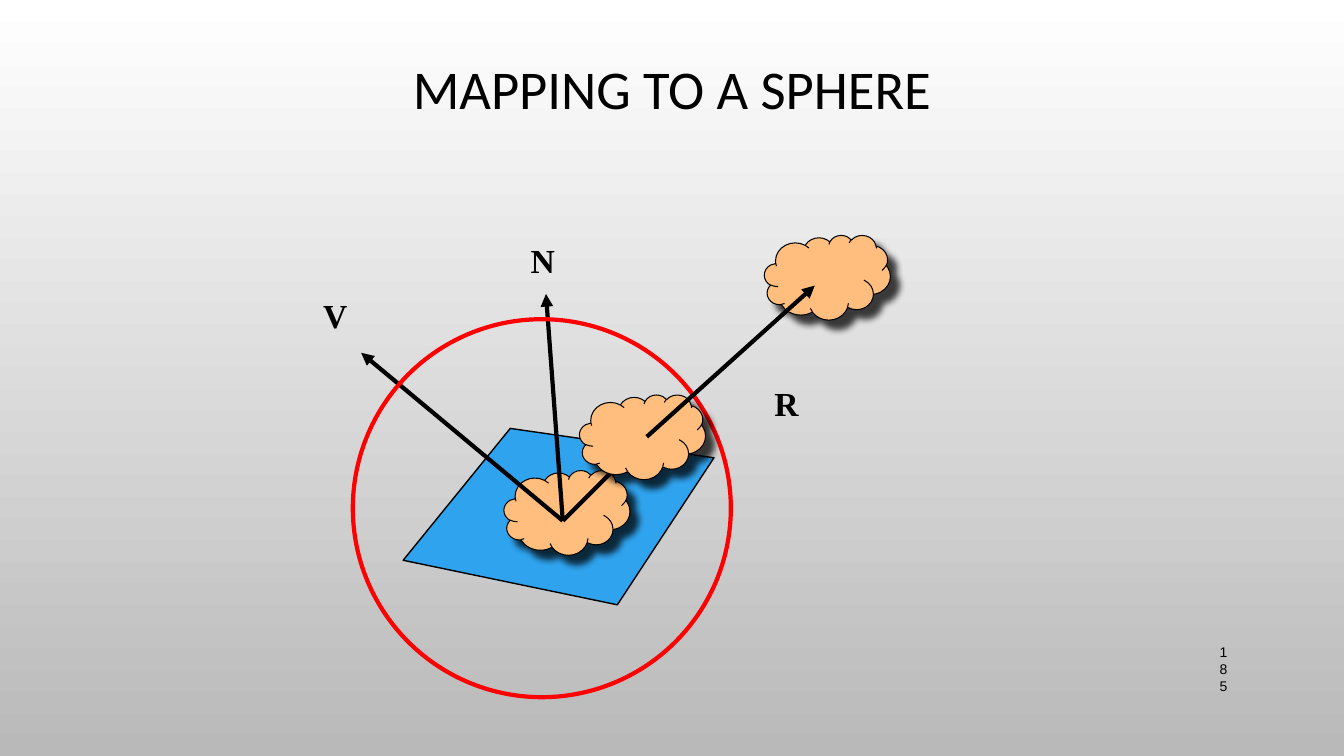
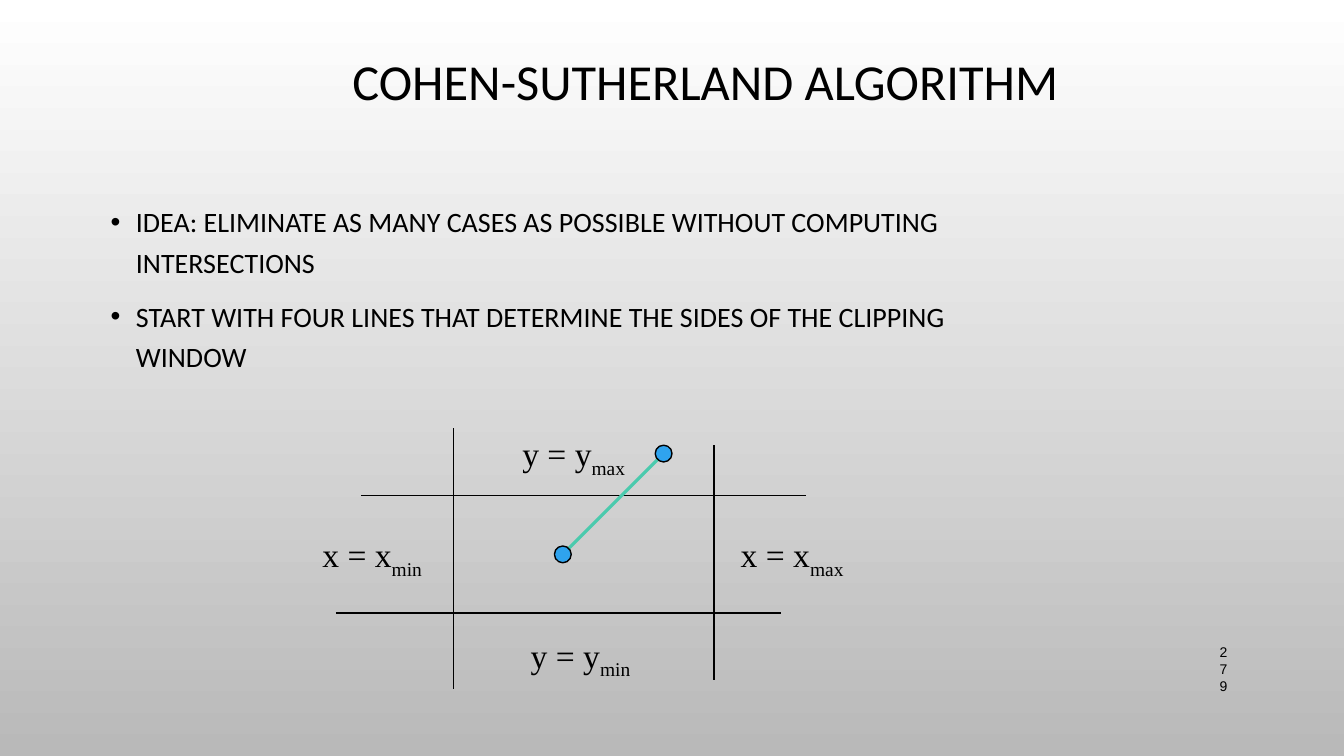
from dataclasses import dataclass
from typing import NamedTuple

from lxml.etree import SubElement
from pptx import Presentation
from pptx.dml.color import RGBColor as RGB
from pptx.enum.shapes import MSO_CONNECTOR as Wire, MSO_SHAPE as Kind
from pptx.enum.text import MSO_ANCHOR as Anchor, MSO_AUTO_SIZE as Fit, PP_ALIGN as Align
from pptx.oxml.ns import qn
from pptx.util import Inches, Pt

COLS, ROWS = 160, 90
WIDTH, HEIGHT = Inches(13.33), Inches(7.5)


@dataclass(frozen=True)
class Theme:
    ink: str = "000000"
    top: str = "FFFFFF"
    base: str = "B9B9B9"
    blue: str = "2FA3EE"
    peach: str = "FFBE7D"
    red: str = "FF0000"
    green: str = "4BCAAD"
    sans: str = "Calibri"
    serif: str = "Times New Roman"
    plain: str = "Arial"
    body: float = 20
    label: float = 24
    number: float = 10
    thin: float = 1
    mid: float = 2.25
    bold: float = 3


class Box(NamedTuple):
    """Left, top, width and height in grid cells."""
    x: float
    y: float
    w: float
    h: float


class Line(NamedTuple):
    """Two end points in grid cells."""
    x1: float
    y1: float
    x2: float
    y2: float


class Label(NamedTuple):
    text: str
    box: Box
    sub: str = ""


T = Theme()


def col(n: float) -> int:
    return round(WIDTH * n / COLS)


def row(n: float) -> int:
    return round(HEIGHT * n / ROWS)


def place(box: Box) -> tuple:
    return col(box.x), row(box.y), col(box.w), row(box.h)


def write(para, text: str, *, size: float, font: str, bold: bool = False,
          sub: str = "", align=None, space: float | None = None,
          before: float = 0, left: float = 0, hang: float = 0,
          bullet: str = "") -> None:
    """Fill a paragraph; sub is set as a lowered run after the text."""
    props = para._p.get_or_add_pPr()
    if left:
        props.set("marL", str(Inches(left)))
        props.set("indent", str(-Inches(hang)))
    if bullet:
        tint = SubElement(props, qn("a:buClr"))
        SubElement(tint, qn("a:srgbClr"), val=T.ink)
        SubElement(props, qn("a:buFont"), typeface=T.plain)
        SubElement(props, qn("a:buChar"), char=bullet)
    para.alignment = align
    para.line_spacing = space
    if before:
        para.space_before = Pt(before)
    for part, low in ((text, False), (sub, True)):
        if not part:
            continue
        run = para.add_run()
        run.text = part
        run.font.size, run.font.name, run.font.bold = Pt(size), font, bold
        run.font.color.rgb = RGB.from_string(T.ink)
        if low:
            run.font._element.set("baseline", "-25000")


def add_box(slide, box: Box, wrap: bool = True):
    frame = slide.shapes.add_textbox(*place(box)).text_frame
    frame.word_wrap = wrap
    frame.auto_size = Fit.NONE if wrap else Fit.SHAPE_TO_FIT_TEXT
    return frame


def add_labels(slide, labels: list[Label], bold: bool = False) -> None:
    for item in labels:
        frame = add_box(slide, item.box, wrap=False)
        write(frame.paragraphs[0], item.text, sub=item.sub, bold=bold,
              size=T.label, font=T.serif)


def paint(shape, fill: str = "", line: str = T.ink, width: float = T.thin) -> None:
    shape.shadow.inherit = False
    if fill:
        shape.fill.solid()
        shape.fill.fore_color.rgb = RGB.from_string(fill)
    else:
        shape.fill.background()
    shape.line.color.rgb = RGB.from_string(line)
    shape.line.width = Pt(width)


def add_oval(slide, box: Box, **look) -> None:
    paint(slide.shapes.add_shape(Kind.OVAL, *place(box)), **look)


def add_cloud(slide, x: float, y: float) -> None:
    cloud = slide.shapes.add_shape(Kind.CLOUD, *place(Box(x, y, 15, 10.08)))
    paint(cloud, T.peach, width=0.75)
    effects = cloud._element.spPr.find(qn("a:effectLst"))
    shade = SubElement(effects, qn("a:outerShdw"), blurRad=str(Pt(5)),
                       dist=str(Pt(8.5)), dir="2700000", algn="ctr", rotWithShape="0")
    tint = SubElement(shade, qn("a:srgbClr"), val=T.ink)
    SubElement(tint, qn("a:alpha"), val="75000")


def add_line(slide, line: Line, color: str = T.ink, width: float = T.thin,
             arrow: bool = False) -> None:
    wire = slide.shapes.add_connector(
        Wire.STRAIGHT, col(line.x1), row(line.y1), col(line.x2), row(line.y2))
    wire.line.color.rgb = RGB.from_string(color)
    wire.line.width = Pt(width)
    if arrow:
        SubElement(wire.line._get_or_add_ln(), qn("a:tailEnd"), type="triangle")
    SubElement(wire._element.spPr, qn("a:effectLst"))


def add_plane(slide, points: list[tuple[float, float]]) -> None:
    first, *rest = [(col(x), row(y)) for x, y in points]
    pen = slide.shapes.build_freeform(*first)
    pen.add_line_segments(rest, close=True)
    paint(pen.convert_to_shape(), T.blue)


def shade_master(deck) -> None:
    fill = deck.slide_master.background.fill
    fill.gradient()
    fill.gradient_angle = 270
    for stop, place_at, color in zip(fill.gradient_stops, (0, 1), (T.top, T.base)):
        stop.position = place_at
        stop.color.rgb = RGB.from_string(color)


def add_slide(deck, title: str, box: Box, size: float, number: str):
    slide = deck.slides.add_slide(deck.slide_layouts[5])
    head = slide.shapes.title
    head.left, head.top, head.width, head.height = place(box)
    frame = head.text_frame
    frame.word_wrap, frame.auto_size = True, Fit.NONE
    frame.vertical_anchor = Anchor.MIDDLE
    write(frame.paragraphs[0], title, size=size, font=T.sans,
          align=Align.CENTER, space=0.9)
    foot = add_box(slide, Box(138, 77.2, 10.08, 4.8))
    foot.vertical_anchor = Anchor.MIDDLE
    write(foot.paragraphs[0], number, size=T.number, font=T.plain, left=0.5)
    return slide


def add_sphere(deck) -> None:
    slide = add_slide(deck, "MAPPING TO A SPHERE", Box(12, 0.4, 136, 21), 39, "185")
    add_plane(slide, [(48, 66.7), (60.75, 51), (85, 54.5), (73.5, 72)])
    add_cloud(slide, 60, 56)
    for x, y in ((43, 42), (65, 35), (76, 53)):
        add_line(slide, Line(67, 62, x, y), width=T.bold, arrow=True)
    add_labels(slide, [
        Label(name, Box(x, y, 5.3, 6))
        for name, x, y in (("V", 37.3, 34.5), ("N", 62, 28), ("R", 91, 45))
    ], bold=True)
    add_cloud(slide, 91, 28)
    add_oval(slide, Box(42, 38, 45, 45), line=T.red, width=T.bold)
    add_cloud(slide, 69, 47)
    add_line(slide, Line(77, 52, 97, 34), width=T.bold, arrow=True)


def add_clip(deck) -> None:
    slide = add_slide(deck, "COHEN-SUTHERLAND ALGORITHM", Box(38, 3, 92, 14), 36, "279")
    frame = add_box(slide, Box(12, 23, 102, 62))
    points = (
        "IDEA: ELIMINATE AS MANY CASES AS POSSIBLE WITHOUT COMPUTING INTERSECTIONS",
        "START WITH FOUR LINES THAT DETERMINE THE SIDES OF THE CLIPPING WINDOW",
    )
    for i, text in enumerate(points):
        para = frame.add_paragraph() if i else frame.paragraphs[0]
        write(para, text, size=T.body, font=T.sans, space=1.2,
              before=10 if i else 0, left=0.25, hang=0.25, bullet="•")
    for side in (Line(43, 59, 96, 59), Line(85, 53, 85, 81),
                 Line(54, 51, 54, 82), Line(40, 73, 93, 73)):
        add_line(slide, side)
    add_labels(slide, [
        Label(f"{axis} = {axis}", Box(x, y, 15, 6), sub)
        for axis, sub, x, y in (("x", "max", 87, 63), ("x", "min", 37.2, 63),
                                ("y", "max", 61, 51), ("y", "min", 62, 75))
    ])
    ends = Line(67, 66, 79, 54)
    add_line(slide, ends, T.green, T.mid)
    for x, y in (ends[2:], ends[:2]):
        add_oval(slide, Box(x - 1, y - 1, 2, 2), fill=T.blue)


def main() -> None:
    deck = Presentation()
    deck.slide_width, deck.slide_height = WIDTH, HEIGHT
    shade_master(deck)
    add_sphere(deck)
    add_clip(deck)
    deck.save("out.pptx")


if __name__ == "__main__":
    main()
